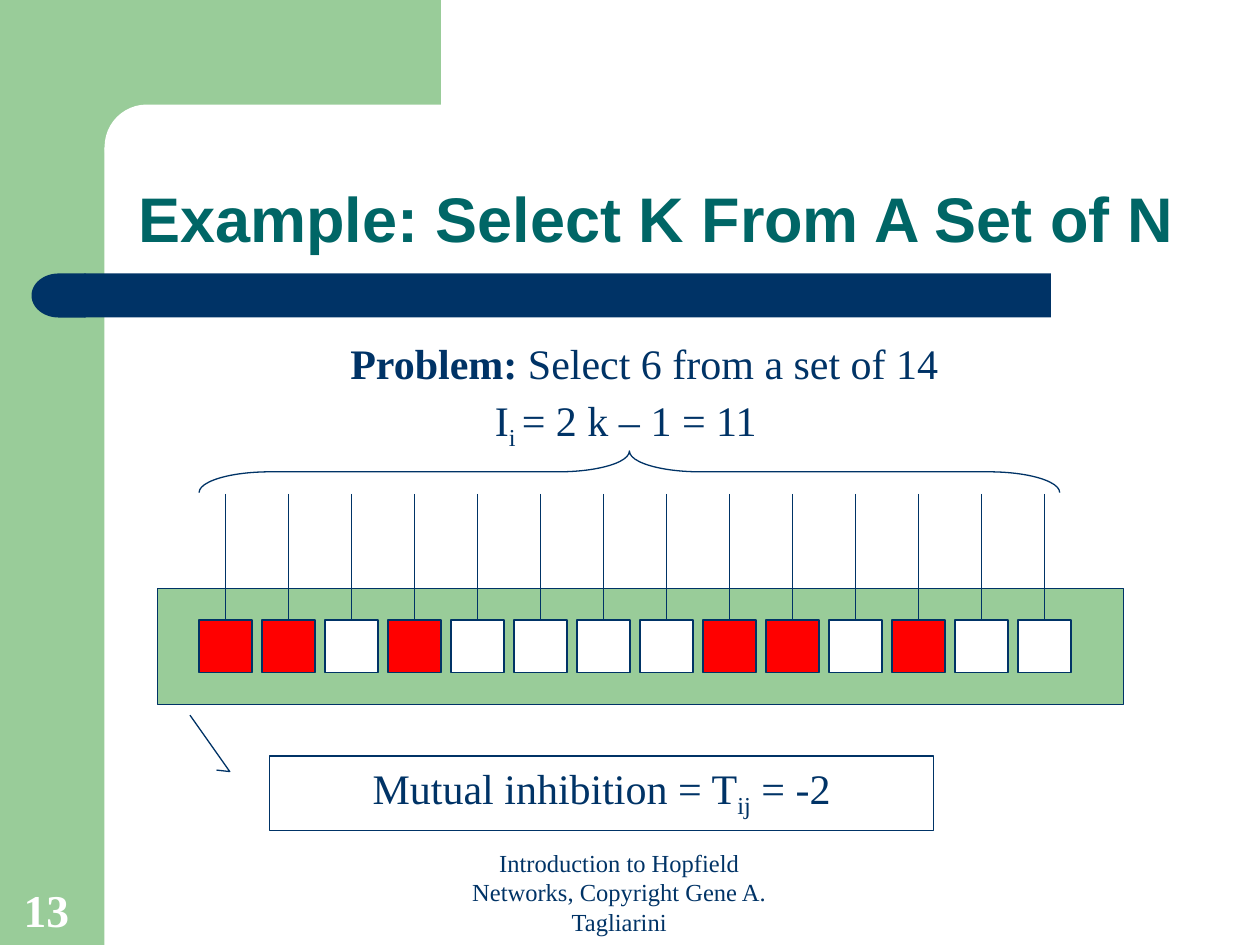
"""Build the slide on selecting K items from a set of N."""
from lxml import etree
from pptx import Presentation
from pptx.dml.color import RGBColor
from pptx.enum.shapes import MSO_CONNECTOR, MSO_SHAPE
from pptx.enum.text import MSO_ANCHOR, PP_ALIGN
from pptx.oxml.ns import qn
from pptx.util import Inches, Pt

GREEN = RGBColor(0x99, 0xCC, 0x99)
NAVY = RGBColor(0x00, 0x33, 0x66)
TEAL = RGBColor(0x00, 0x66, 0x66)
RED = RGBColor(0xFF, 0x00, 0x00)
WHITE = RGBColor(0xFF, 0xFF, 0xFF)
RECT, ROUND, DELAY = MSO_SHAPE.RECTANGLE, MSO_SHAPE.ROUNDED_RECTANGLE, MSO_SHAPE.FLOWCHART_DELAY
BRACE, CALLOUT = MSO_SHAPE.LEFT_BRACE, MSO_SHAPE.LINE_CALLOUT_2
STRAIGHT = MSO_CONNECTOR.STRAIGHT
LEFT, CENTER = PP_ALIGN.LEFT, PP_ALIGN.CENTER
TOP, BOTTOM = MSO_ANCHOR.TOP, MSO_ANCHOR.BOTTOM

deck = Presentation()
deck.slide_width, deck.slide_height = Inches(10), Inches(7.5)
slide = deck.slides.add_slide(deck.slide_layouts[6])
shapes = slide.shapes


def draw(kind, box, fill=None, line=None, adjust=()):
    shape = shapes.add_shape(kind, *map(Inches, box))
    shape.shadow.inherit = False
    if fill is None:
        shape.fill.background()
    else:
        shape.fill.solid()
        shape.fill.fore_color.rgb = fill
    if line is None:
        shape.line.fill.background()
    else:
        shape.line.color.rgb = line
        shape.line.width = Pt(0.75)
    for i, value in enumerate(adjust):
        shape.adjustments[i] = value
    return shape


def write(shape, parts, style, align=LEFT, anchor=TOP, color=NAVY, wrap=True):
    frame = shape.text_frame
    frame.word_wrap = wrap
    frame.vertical_anchor = anchor
    para = frame.paragraphs[0]
    para.alignment = align
    for text, extra in parts:
        run = para.add_run()
        run.text = text
        run.font.color.rgb = color
        for name, value in {**style, **extra}.items():
            if name == "baseline":
                run._r.get_or_add_rPr().set(name, value)
            else:
                setattr(run.font, name, value)
    return para


draw(RECT, (0, 0, 0.83, 7.5), GREEN)
draw(RECT, (0.75, 0, 2.75, 1.17), GREEN)
draw(ROUND, (0.83, 0.83, 5.58, 0.67), WHITE, adjust=[0.5])
draw(RECT, (0.67, 2.17, 7.67, 0.35), NAVY)
draw(DELAY, (0.25, 2.17, 0.43, 0.35), NAVY).rotation = 180

head = {"name": "Arial", "size": Pt(36), "bold": True}
body = {"name": "Times New Roman", "size": Pt(24)}
small = {"name": "Times New Roman", "size": Pt(14)}
page = {"name": "Times New Roman", "size": Pt(26), "bold": True}
sub = {"baseline": "-25000"}

title = shapes.add_textbox(*map(Inches, (1, 0.83, 8.75, 1.25)))
para = write(title, [("Example: Select K From A Set of N", {})], head, anchor=BOTTOM, color=TEAL)
para.line_spacing = 0.9

draw(RECT, (1.25, 4.67, 7.67, 0.92), GREEN, NAVY)
chosen = {0, 1, 3, 8, 9, 11}
for i in range(14):
    left = 1.58 + 0.5 * i
    cell = draw(RECT, (left, 4.92, 0.42, 0.42), RED if i in chosen else WHITE, NAVY)
    mid = Inches(left + 0.21)
    wire = shapes.add_connector(STRAIGHT, mid, Inches(3.92), mid, Inches(4.92))
    wire.end_connect(cell, 0)
    wire.line.color.rgb = NAVY
    wire.line.width = Pt(0.75)
    etree.SubElement(wire._element.spPr, qn("a:effectLst"))

draw(BRACE, (4.83, 0.33, 0.33, 6.83), line=NAVY, adjust=[1.71, 0.5]).rotation = 90

task = shapes.add_textbox(*map(Inches, (2.68, 2.63, 4.87, 0.5)))
parts = [("Problem:", {"bold": True}), (" Select 6 from a set of 14", {})]
write(task, parts, body, CENTER, wrap=False)

input_box = shapes.add_textbox(*map(Inches, (3.83, 3.08, 2.42, 0.56)))
parts = [("I", {}), ("i ", sub), ("= 2 k – 1 = 11", {})]
write(input_box, parts, body).space_before = Pt(15)

bend = [0.19, -0.08, 0.21, -0.06, -0.55, -0.12]
note = draw(CALLOUT, (2.14, 6, 5.27, 0.59), line=NAVY, adjust=bend)
parts = [("Mutual inhibition = T", {}), ("ij", sub), (" = -2", {})]
write(note, parts, body, CENTER)

footer = shapes.add_textbox(*map(Inches, (3.21, 7.14, 3.17, 0.34)))
parts = [("Introduction to Hopfield Networks, Copyright Gene A. Tagliarini", {})]
para = write(footer, parts, small, CENTER, BOTTOM)
para._p.get_or_add_pPr().set("marL", str(Inches(0.24)))

number = shapes.add_textbox(*map(Inches, (0.09, 6.94, 0.64, 0.54)))
write(number, [("13", {})], page, anchor=BOTTOM, color=WHITE)

deck.save("out.pptx")
